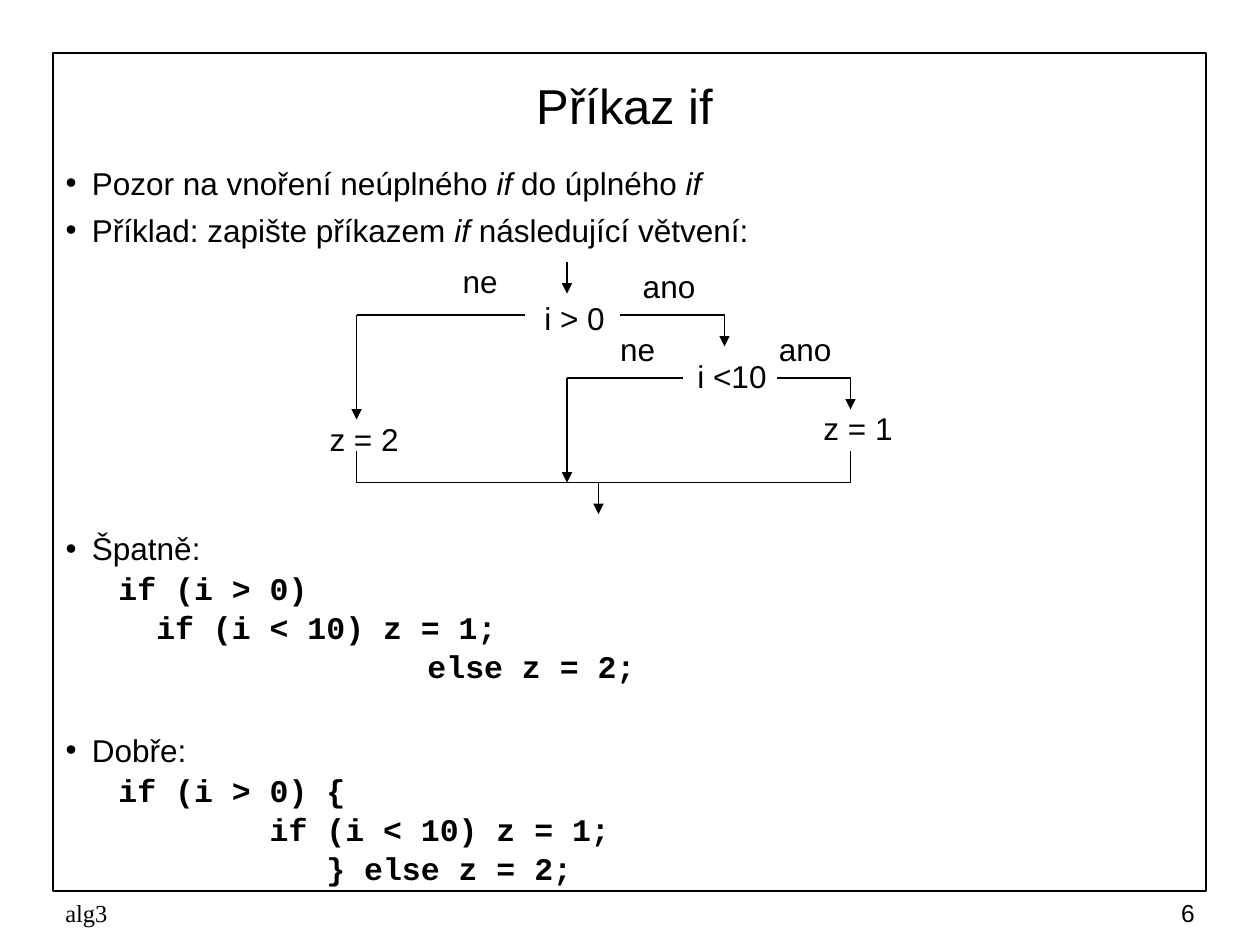
from pptx import Presentation
from pptx.dml.color import RGBColor
from pptx.enum.shapes import MSO_CONNECTOR, MSO_SHAPE
from pptx.enum.text import MSO_ANCHOR, MSO_AUTO_SIZE, PP_ALIGN
from pptx.oxml.ns import qn
from pptx.util import Inches, Pt
from lxml import etree

LEFT, CENTER, RIGHT = PP_ALIGN.LEFT, PP_ALIGN.CENTER, PP_ALIGN.RIGHT
TOP, MIDDLE, BOTTOM = MSO_ANCHOR.TOP, MSO_ANCHOR.MIDDLE, MSO_ANCHOR.BOTTOM
NO_AUTOFIT = MSO_AUTO_SIZE.NONE
STRAIGHT = MSO_CONNECTOR.STRAIGHT
RECTANGLE = MSO_SHAPE.RECTANGLE
COLORS = {"ink": "000000"}
CODE_FONT = {"name": "Courier New", "bold": True}
PARA_GAP = 5.1     # points before an ordinary paragraph
BULLET_INDENT = 0.21
CODE_INDENT = 0.42
CHAR_WIDTH = 0.15  # one 18 pt Courier New character


class SlideBuilder:
    font = {"name": "Arial", "size": Pt(18), "bold": False, "italic": False}
    insets = (0.1, 0.05, 0.1, 0.05)

    def __init__(self, deck):
        self.slide = deck.slides.add_slide(deck.slide_layouts[1])
        self.ink = RGBColor.from_string(COLORS["ink"])

    def place(self, shape, at):
        for name, value in zip(("left", "top", "width", "height"), at):
            setattr(shape, name, Inches(value))

    def set_frame(self, frame, anchor, insets=insets):
        frame.word_wrap = True
        frame.auto_size = NO_AUTOFIT
        frame.vertical_anchor = anchor
        for side, value in zip(("left", "top", "right", "bottom"), insets):
            setattr(frame, f"margin_{side}", Inches(value))

    def add_span(self, para, text, **changes):
        span = para.add_run()
        span.text = text
        for name, value in {**self.font, **changes}.items():
            setattr(span.font, name, value)
        span.font.color.rgb = self.ink

    def frame(self, at):
        box = self.slide.shapes.add_shape(RECTANGLE, *map(Inches, at))
        box.shadow.inherit = False
        box.fill.background()
        box.line.color.rgb = self.ink
        box.line.width = Pt(1)

    def title(self, text, at):
        shape = self.slide.shapes.title
        self.place(shape, at)
        self.set_frame(shape.text_frame, MIDDLE)
        para = shape.text_frame.paragraphs[0]
        para.alignment = CENTER
        self.add_span(para, text, size=Pt(28))

    def body(self, items, at):
        """Fill the body; an item is (kind, text, columns, gap), asterisks mark italics."""
        shape = self.slide.placeholders[1]
        self.place(shape, at)
        frame = shape.text_frame
        self.set_frame(frame, TOP)
        for index, (kind, text, columns, gap) in enumerate(items):
            para = frame.add_paragraph() if index else frame.paragraphs[0]
            para.alignment = LEFT
            para.space_before = Pt(gap)
            if kind == "code":
                para.level = 1
                para.line_spacing = 0.8
                self.set_indent(para, CODE_INDENT + columns * CHAR_WIDTH)
                self.add_span(para, text, **CODE_FONT)
            else:
                self.set_indent(para, BULLET_INDENT, "•")
                for number, part in enumerate(text.split("*")):
                    if part:
                        self.add_span(para, part, italic=number % 2 == 1)

    def set_indent(self, para, margin, bullet=None):
        props = para._p.get_or_add_pPr()
        props.set("marL", str(Inches(margin)))
        props.set("indent", str(-Inches(margin) if bullet else 0))
        mark = etree.SubElement(props, qn("a:buChar" if bullet else "a:buNone"))
        if bullet:
            mark.set("char", bullet)

    def text(self, text, at, align=CENTER, anchor=MIDDLE, insets=insets, **font):
        box = self.slide.shapes.add_textbox(*map(Inches, at))
        self.set_frame(box.text_frame, anchor, insets)
        para = box.text_frame.paragraphs[0]
        para.alignment = align
        self.add_span(para, text, **font)

    def label(self, text, left, top, width):
        self.text(text, (left, top, width, 0.3), anchor=BOTTOM, insets=(0.13, 0, 0.02, 0))

    def path_line(self, points, arrow=True):
        """Join the points by straight lines, with an arrowhead on the last."""
        segments = list(zip(points, points[1:]))
        for number, (start, end) in enumerate(segments, 1):
            line = self.slide.shapes.add_connector(STRAIGHT, *map(Inches, start + end))
            line.line.color.rgb = self.ink
            line.line.width = Pt(0.75)
            if arrow and number == len(segments):
                outline = line.line._get_or_add_ln()
                etree.SubElement(outline, qn("a:tailEnd"), type="triangle")
            etree.SubElement(line._element.spPr, qn("a:effectLst"))


BODY = [
    ("bullet", "Pozor na vnoření neúplného *if* do úplného *if*", 0, PARA_GAP),
    ("bullet", "Příklad: zapište příkazem *if* následující větvení:", 0, PARA_GAP),
    ("bullet", "Špatně:", 0, 160.5),  # leaves room for the flow chart
    ("code", "if (i > 0)", 0, PARA_GAP),
    ("code", "if (i < 10) z = 1;", 2, PARA_GAP),
    ("code", "else z = 2;", 16.35, PARA_GAP),
    ("bullet", "Dobře:", 0, 26.6),
    ("code", "if (i > 0) {", 0, PARA_GAP),
    ("code", "if (i < 10) z = 1;", 8, PARA_GAP),
    ("code", "} else z = 2;", 11, PARA_GAP),
]
NODES = [("i > 0", 3.92, 2.37), ("i <10", 5.17, 2.83),
         ("z = 1", 6.17, 3.25), ("z = 2", 2.25, 3.33)]
BRANCHES = [("ano", 4.92, 2.12), ("ano", 6, 2.62), ("ne", 3.42, 2.08), ("ne", 4.67, 2.62)]
LEFT_X, MID_X, INNER_X, RIGHT_X = 2.83, 4.5, 5.75, 6.75
OUTER_Y, INNER_Y, JOIN_Y = 2.5, 3, 3.83
ARROWS = [
    [(MID_X, 2.08), (MID_X, 2.33)],
    [(4.92, OUTER_Y), (INNER_X, OUTER_Y), (INNER_X, 2.75)],
    [(4.17, OUTER_Y), (LEFT_X, OUTER_Y), (LEFT_X, 3.33)],
    [(6.17, INNER_Y), (RIGHT_X, INNER_Y), (RIGHT_X, 3.25)],
    [(5.42, INNER_Y), (MID_X, INNER_Y), (MID_X, JOIN_Y)],
    [(4.75, JOIN_Y), (4.75, 4.08)],
]
JOIN = [(LEFT_X, 3.58), (LEFT_X, JOIN_Y), (RIGHT_X, JOIN_Y), (RIGHT_X, 3.58)]


def main():
    deck = Presentation()
    deck.slide_width, deck.slide_height = Inches(10), Inches(7.5)
    page = SlideBuilder(deck)
    page.frame((0.42, 0.42, 9.15, 6.65))
    page.title("Příkaz if", (0.5, 0.5, 8.92, 0.67))
    page.body(BODY, (0.42, 1.25, 9.17, 5.83))
    for text, left, top in NODES:
        page.label(text, left, top, 1.17)
    for points in ARROWS:
        page.path_line(points)
    page.path_line(JOIN, arrow=False)
    for text, left, top in BRANCHES:
        page.label(text, left, top, 0.67)
    page.text("alg3", (0.42, 7.08, 3.17, 0.33), LEFT, name="Times New Roman", size=Pt(14))
    page.text("6", (7.5, 7.08, 2.08, 0.33), RIGHT, size=Pt(14))
    deck.save("out.pptx")


if __name__ == "__main__":
    main()
